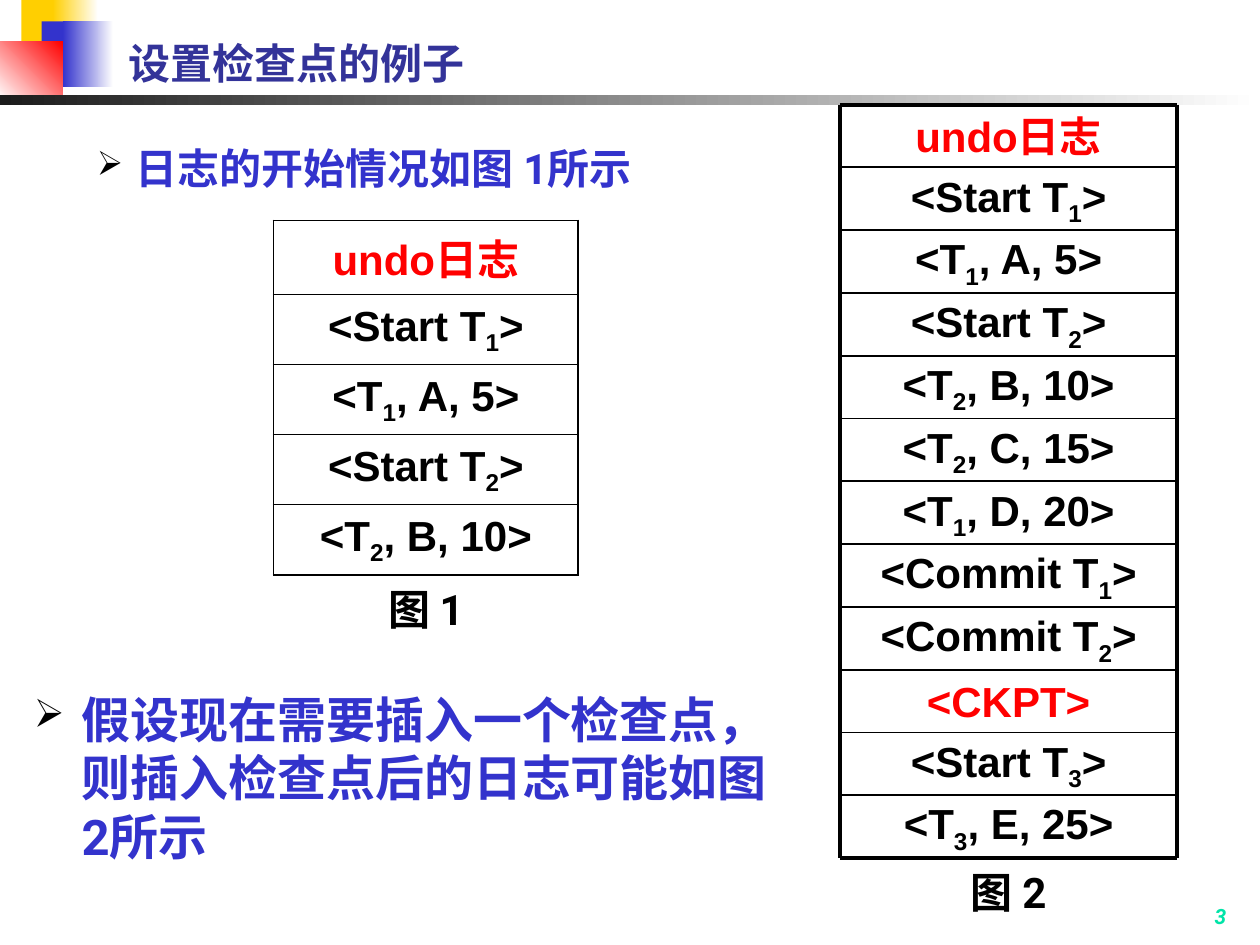
import dataclasses

import lxml.etree
import pptx
import pptx.dml.color
import pptx.enum.shapes
import pptx.enum.text
import pptx.oxml.ns
import pptx.util

Inches = pptx.util.Inches
Pt = pptx.util.Pt
ALIGN = pptx.enum.text.PP_ALIGN
ANCHOR = pptx.enum.text.MSO_ANCHOR


@dataclasses.dataclass(frozen=True)
class Theme:
    sans: str = "Roboto"
    mono: str = "Arial"
    title: str = "333399"
    blue: str = "3333CC"
    gold: str = "FFCF01"
    red: str = "FF0000"
    black: str = "000000"
    dark: str = "1C1C1C"
    white: str = "FFFFFF"
    green: str = "00E4A8"
    text: int = 24
    large: int = 28
    small: int = 12
    thick: float = 2.25
    thin: float = 1
    edge: float = 1.08
    hair: float = 0.45


T = Theme()
HEAD = "undo日志"
FIRST = [HEAD, "<Start T_1>", "<T_1, A, 5>", "<Start T_2>", "<T_2, B, 10>"]
MARK = "<CKPT>"
SECOND = FIRST + ["<T_2, C, 15>", "<T_1, D, 20>", "<Commit T_1>", "<Commit T_2>",
                  MARK, "<Start T_3>", "<T_3, E, 25>"]


def color(code):
    return pptx.dml.color.RGBColor.from_string(code)


def add_tag(parent, tag, **attrs):
    return lxml.etree.SubElement(parent, pptx.oxml.ns.qn(tag), attrs)


def add_bullet(para, indent):
    props = para._p.get_or_add_pPr()
    props.set("marL", str(Inches(indent[0])))
    props.set("indent", str(Inches(indent[1])))
    add_tag(add_tag(props, "a:buClr"), "a:srgbClr", val=T.black)
    add_tag(props, "a:buSzPct", val="80000")
    add_tag(props, "a:buChar", char="➢")


def write(frame, text, size=T.text, font=T.sans, ink=T.black, align=ALIGN.LEFT,
          italic=False, indent=None):
    """Fill a text frame; the digit after each underscore is a subscript."""
    para = frame.paragraphs[0]
    para.alignment = align
    if indent:
        add_bullet(para, indent)
    head, _, tail = text.partition("_")
    for part, low in ((head, False), (tail[:1], True), (tail[1:], False)):
        if not part:
            continue
        run = para.add_run()
        run.text = part
        run.font.size = Pt(size)
        run.font.name = font
        run.font.bold = True
        run.font.italic = italic
        run.font.color.rgb = color(ink)
        if low:
            run._r.get_or_add_rPr().set("baseline", "-25000")


def add_text(shapes, box, text, anchor=ANCHOR.TOP, grow=False, **style):
    frame = shapes.add_textbox(*map(Inches, box)).text_frame
    frame.word_wrap = True
    frame.vertical_anchor = anchor
    if grow:
        frame.auto_size = pptx.enum.text.MSO_AUTO_SIZE.SHAPE_TO_FIT_TEXT
    write(frame, text, **style)


def add_rect(shapes, box, start, end=None, angle=0):
    """Add a plain block, or a gradient block when an end colour is given."""
    kind = pptx.enum.shapes.MSO_SHAPE.RECTANGLE
    rect = shapes.add_shape(kind, *map(Inches, box))
    rect.shadow.inherit = False
    rect.line.fill.background()
    if end is None:
        rect.fill.solid()
        rect.fill.fore_color.rgb = color(start)
    else:
        rect.fill.gradient()
        rect.fill.gradient_angle = angle
        for stop, code in zip(rect.fill.gradient_stops, (start, end)):
            stop.color.rgb = color(code)
    return rect


def add_line(shapes, x1, y1, x2, y2, width):
    kind = pptx.enum.shapes.MSO_CONNECTOR.STRAIGHT
    line = shapes.add_connector(kind, *map(Inches, (x1, y1, x2, y2)))
    line.line.color.rgb = color(T.black)
    line.line.width = Pt(width)
    add_tag(line._element.spPr, "a:effectLst")


def add_edge(cell, side, width):
    edge = add_tag(cell._tc.get_or_add_tcPr(), "a:ln" + side, w=str(Pt(width)))
    add_tag(add_tag(edge, "a:solidFill"), "a:srgbClr", val=T.black)


def entry(text):
    """Format shared by all log entries."""
    ink = T.red if text in (HEAD, MARK) else T.black
    return dict(font=T.mono, ink=ink, align=ALIGN.CENTER)


def add_table(shapes, box, rows, heights):
    table = shapes.add_table(len(rows), 1, *map(Inches, box)).table
    table.first_row = table.horz_banding = False
    last = len(rows) - 1
    for i, text in enumerate(rows):
        table.rows[i].height = Inches(heights[i])
        cell = table.cell(i, 0)
        cell.vertical_anchor = ANCHOR.MIDDLE
        add_edge(cell, "L", T.edge)
        add_edge(cell, "R", T.edge)
        add_edge(cell, "T", T.edge if i == 0 else T.hair)
        add_edge(cell, "B", T.edge if i == last else T.hair)
        if i == 0:
            cell.fill.solid()
            cell.fill.fore_color.rgb = color(T.white)
        else:
            cell.fill.background()
        write(cell.text_frame, text, **entry(text))


def add_log(shapes, box, rows):
    """Stack the entries in equal rows inside a ruled frame."""
    left, top, width, height = box
    step = height / len(rows)
    right, base = left + width, top + height
    add_rect(shapes, (left, top, width, step), T.white)
    for i, text in enumerate(rows):
        add_text(shapes, (left, top + i * step, width, step), text,
                 anchor=ANCHOR.MIDDLE, **entry(text))
    for i in range(len(rows) + 1):
        y = top + i * step
        add_line(shapes, left, y, right, y,
                 T.thick if i in (0, len(rows)) else T.thin)
    for x in (left, right):
        add_line(shapes, x, top, x, base, T.thick)


def add_decor(shapes):
    add_rect(shapes, (0.17, 0, 0.48, 0.52), T.gold)
    add_rect(shapes, (0.42, 0, 0.36, 0.52), T.gold, T.white)
    add_rect(shapes, (0.33, 0.17, 0.46, 0.52), T.blue)
    add_rect(shapes, (0.5, 0.17, 0.4, 0.52), T.blue, T.white)
    add_rect(shapes, (0, 0.33, 0.5, 0.46), T.white, T.red, angle=45)
    add_rect(shapes, (0, 0.75, 10, 0.08), T.dark, T.white)


def main():
    deck = pptx.Presentation()
    deck.slide_width, deck.slide_height = Inches(10), Inches(7.5)
    shapes = deck.slides.add_slide(deck.slide_layouts[6]).shapes

    # Corner blocks, page number and title
    add_decor(shapes)
    add_text(shapes, (7.75, 7.17, 2.08, 0.25), "3", anchor=ANCHOR.BOTTOM,
             size=T.small, ink=T.green, align=ALIGN.RIGHT, italic=True)
    add_text(shapes, (0.92, 0.17, 8.52, 0.58), "设置检查点的例子",
             anchor=ANCHOR.BOTTOM, ink=T.title)

    # Log at the start
    add_text(shapes, (0.17, 1.08, 6.08, 0.5), "日志的开始情况如图 1所示",
             ink=T.blue, indent=(0.81, -0.31))
    add_table(shapes, (2.17, 1.75, 2.42, 2.75), FIRST, [0.59] + [0.54] * 4)
    add_text(shapes, (2.17, 4.58, 2.42, 0.5), "图 1", grow=True, align=ALIGN.CENTER)

    # Log with the checkpoint
    group = shapes.add_group_shape().shapes
    add_log(group, (6.67, 0.83, 2.67, 5.98), SECOND)
    add_text(group, (6.67, 6.83, 2.67, 0.5), "图 2", grow=True, align=ALIGN.CENTER)
    add_text(shapes, (0.17, 5.42, 6.08, 1.33),
             "假设现在需要插入一个检查点，则插入检查点后的日志可能如图 2所示",
             size=T.large, ink=T.blue, indent=(0.38, -0.38))

    deck.save("out.pptx")


if __name__ == "__main__":
    main()
